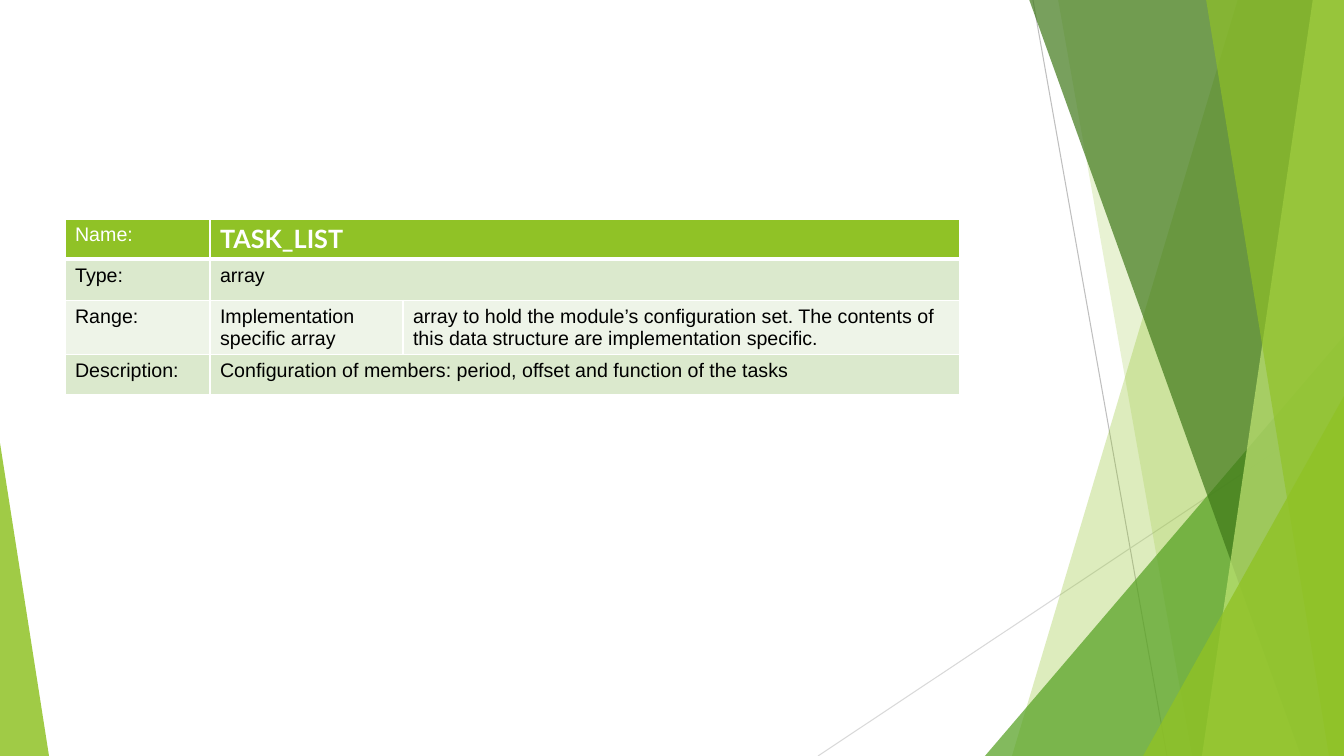
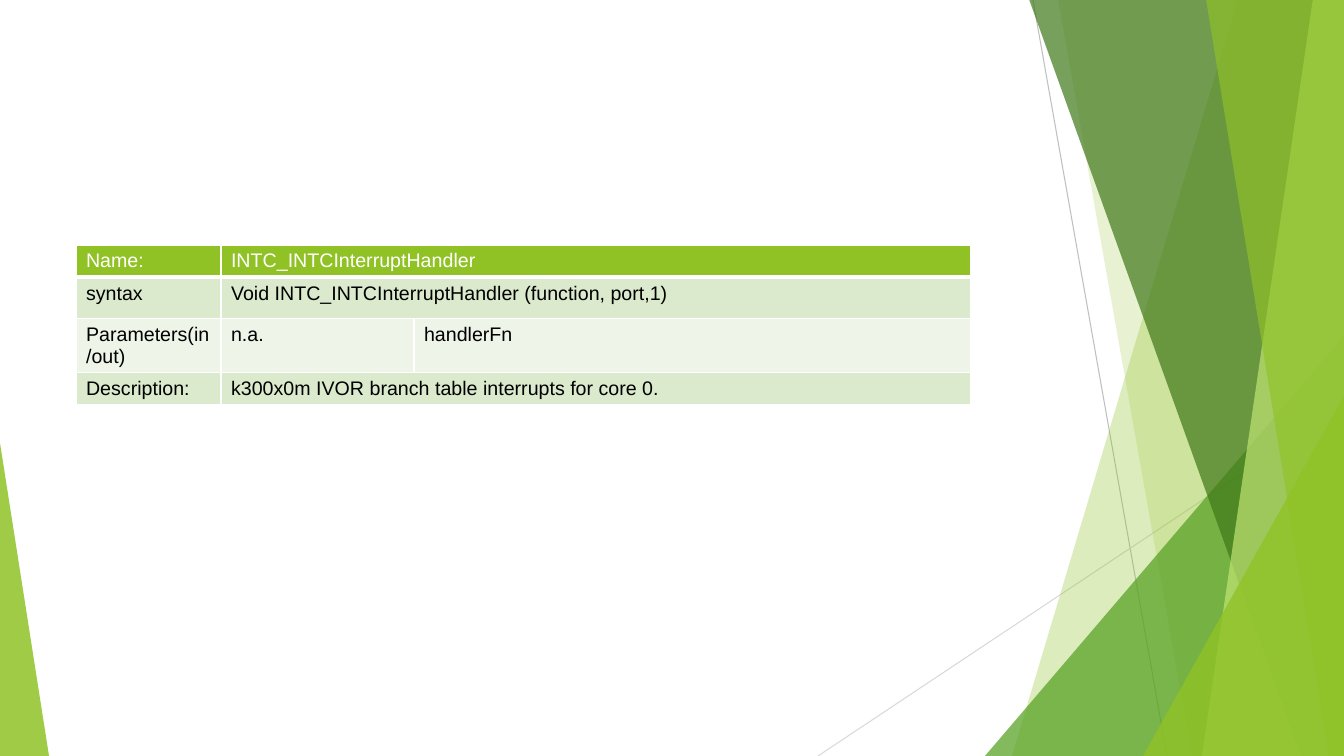
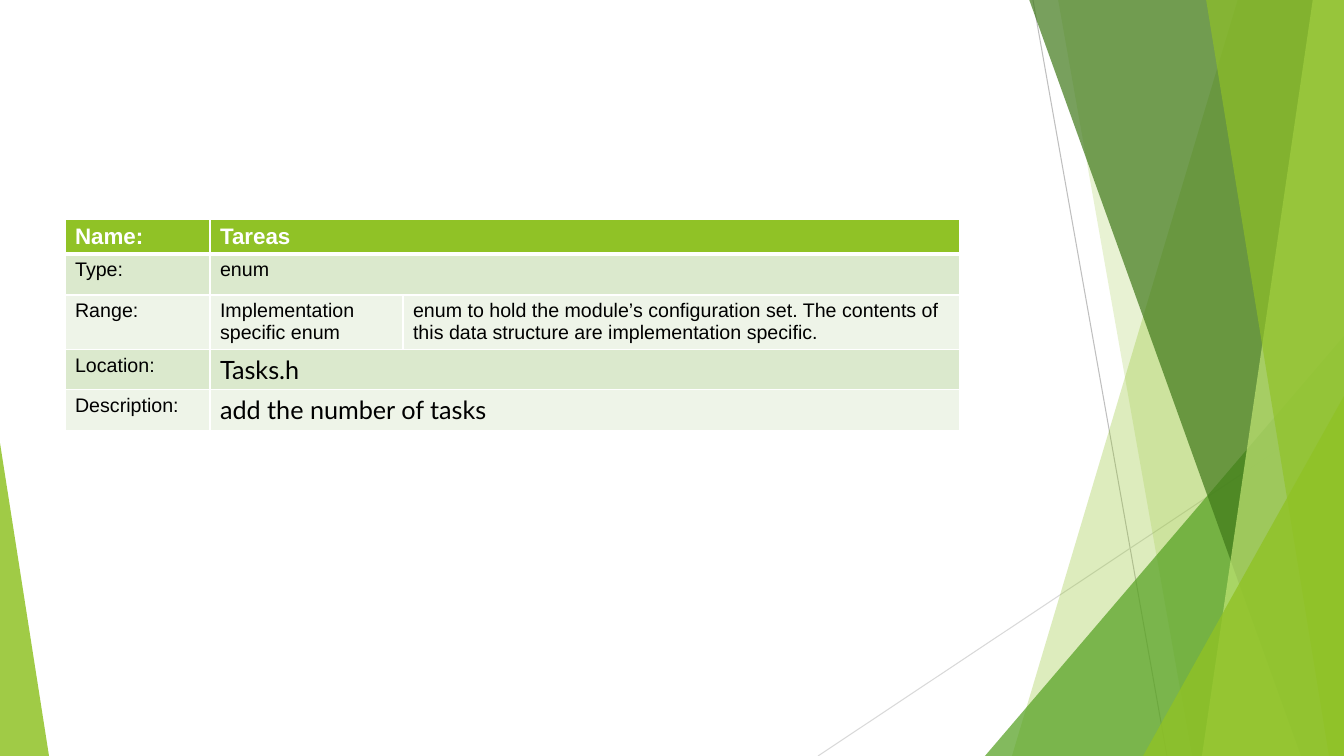
from lxml.etree import SubElement
from pptx import Presentation
from pptx.dml.color import RGBColor
from pptx.enum.shapes import MSO_CONNECTOR, MSO_SHAPE
from pptx.oxml.ns import qn
from pptx.util import Pt

SCALE = 914400 / 100.8
WIDTH, HEIGHT = 1344, 756
BLANK_LAYOUT = 6
COLORS = {
    "white": "FFFFFF",
    "black": "000000",
    "lime": "90C226",
    "green": "54A021",
    "forest": "3F7819",
    "pale lime": "C0E474",
    "band": "DBE9CD",
    "light band": "EEF4E8",
    "gray": "BFBFBF",
    "light gray": "D9D9D9",
}
COLUMN_WIDTHS = [145, 193, 557]
LARGE = {"font": "Lato", "size": 18}
LARGE_BOLD = {**LARGE, "bold": True}
HEADING = {"size": 16, "bold": True}


def emu(pixels):
    return round(pixels * SCALE)


def rgb(name):
    return RGBColor.from_string(COLORS[name])


def write_text(text_frame, text, font="Arial", size=14, color="black", bold=False):
    run = text_frame.paragraphs[0].add_run()
    run.text = text
    run.font.name = font
    run.font.size = Pt(size)
    run.font.bold = bold
    run.font.color.rgb = rgb(color)


class Deck:
    """Holds the presentation, its style and the current slide."""

    def __init__(self):
        self.presentation = Presentation()
        self.presentation.slide_width = emu(WIDTH)
        self.presentation.slide_height = emu(HEIGHT)
        self.slide = None

    def add_slide(self):
        layout = self.presentation.slide_layouts[BLANK_LAYOUT]
        self.slide = self.presentation.slides.add_slide(layout)
        self.add_facets()

    def add_facets(self):
        self.add_line(1033, 0, 1167, HEIGHT, "gray")
        self.add_line(WIDTH, 406, 818, HEIGHT, "light gray")
        self.add_facet(1238, 1012, "lime", 30)
        self.add_facet(1058, 1192, "lime", 20)
        self.add_triangle(985, 336, WIDTH - 985, 1, "green", 72)
        self.add_facet(1029, 1301, "forest", 70)
        self.add_facet(1313, 1202, "pale lime", 70)
        self.add_facet(1206, 1329, "lime", 65)
        self.add_triangle(1143, 396, WIDTH - 1143, 1, "lime", 80)
        self.add_triangle(0, 443, 49, 0, "lime", 85)

    def add_line(self, x1, y1, x2, y2, color):
        connector = self.slide.shapes.add_connector(
            MSO_CONNECTOR.STRAIGHT, emu(x1), emu(y1), emu(x2), emu(y2))
        connector.line.color.rgb = rgb(color)
        connector.line.width = Pt(0.75)
        SubElement(connector.element.spPr, qn("a:effectLst"))

    def add_facet(self, top_x, bottom_x, color, opacity):
        builder = self.slide.shapes.build_freeform(top_x, -1, SCALE)
        builder.add_line_segments([(WIDTH, -1), (WIDTH, HEIGHT), (bottom_x, HEIGHT)])
        self.paint(builder.convert_to_shape(), color, opacity)

    def add_triangle(self, left, top, width, apex, color, opacity):
        shape = self.slide.shapes.add_shape(
            MSO_SHAPE.ISOSCELES_TRIANGLE,
            emu(left), emu(top), emu(width), emu(HEIGHT - top))
        shape.adjustments[0] = apex
        self.paint(shape, color, opacity)

    def paint(self, shape, color, opacity):
        shape.shadow.inherit = False
        shape.line.fill.background()
        shape.fill.solid()
        shape.fill.fore_color.rgb = rgb(color)
        color_element = shape.element.spPr.find(f".//{qn('a:srgbClr')}")
        SubElement(color_element, qn("a:alpha"), val=str(opacity * 1000))

    def add_table(self, left, top, row_heights, rows):
        table = self.slide.shapes.add_table(
            len(rows), len(COLUMN_WIDTHS), emu(left), emu(top),
            emu(sum(COLUMN_WIDTHS)), emu(sum(row_heights))).table
        for column, width in zip(table.columns, COLUMN_WIDTHS):
            column.width = emu(width)
        for index, (height, entries) in enumerate(zip(row_heights, rows)):
            table.rows[index].height = emu(height)
            for cell in table.rows[index].cells:
                self.style_cell(cell, index)
            if len(entries) == 2:
                table.cell(index, 1).merge(table.cell(index, 2))
            for column, entry in enumerate(entries):
                text, style = entry if isinstance(entry, tuple) else (entry, {})
                color = "black" if index else "white"
                write_text(table.cell(index, column).text_frame, text, color=color, **style)

    def style_cell(self, cell, row):
        top = 3 if row == 1 else 1
        bottom = 3 if row == 0 else 1
        properties = cell._tc.get_or_add_tcPr()
        for side, points in (("L", 1), ("R", 1), ("T", top), ("B", bottom)):
            line = SubElement(properties, qn(f"a:ln{side}"), w=str(Pt(points)))
            fill = SubElement(line, qn("a:solidFill"))
            SubElement(fill, qn("a:srgbClr"), val=COLORS["white"])
        cell.fill.solid()
        band = "band" if row % 2 else "light band"
        cell.fill.fore_color.rgb = rgb(band if row else "lime")

    def save(self):
        self.presentation.save("out.pptx")


def range_row(kind):
    return ["Range:", f"Implementation specific {kind}",
            f"{kind} to hold the module’s configuration set. "
            "The contents of this data structure are implementation specific."]


deck = Deck()

deck.add_slide()
deck.add_table(65, 219, [40, 41, 54, 40], [
    ["Name:", ("TASK_LIST", LARGE_BOLD)],
    ["Type:", "array"],
    range_row("array"),
    ["Description:", "Configuration of members: period, offset and function of the tasks"],
])

deck.add_slide()
deck.add_table(76, 245, [32, 41, 54, 32], [
    ["Name:", "INTC_INTCInterruptHandler"],
    ["syntax", "Void INTC_INTCInterruptHandler (function, port,1)"],
    ["Parameters(in/out)", "n.a.", "handlerFn"],
    ["Description:", "k300x0m IVOR branch table interrupts for core 0."],
])

deck.add_slide()
deck.add_table(65, 219, [34, 41, 54, 40, 41], [
    [("Name:", HEADING), ("Tareas", HEADING)],
    ["Type:", "enum"],
    range_row("enum"),
    ["Location:", ("Tasks.h", LARGE)],
    ["Description:", ("add the number of tasks", LARGE)],
])

deck.save()
